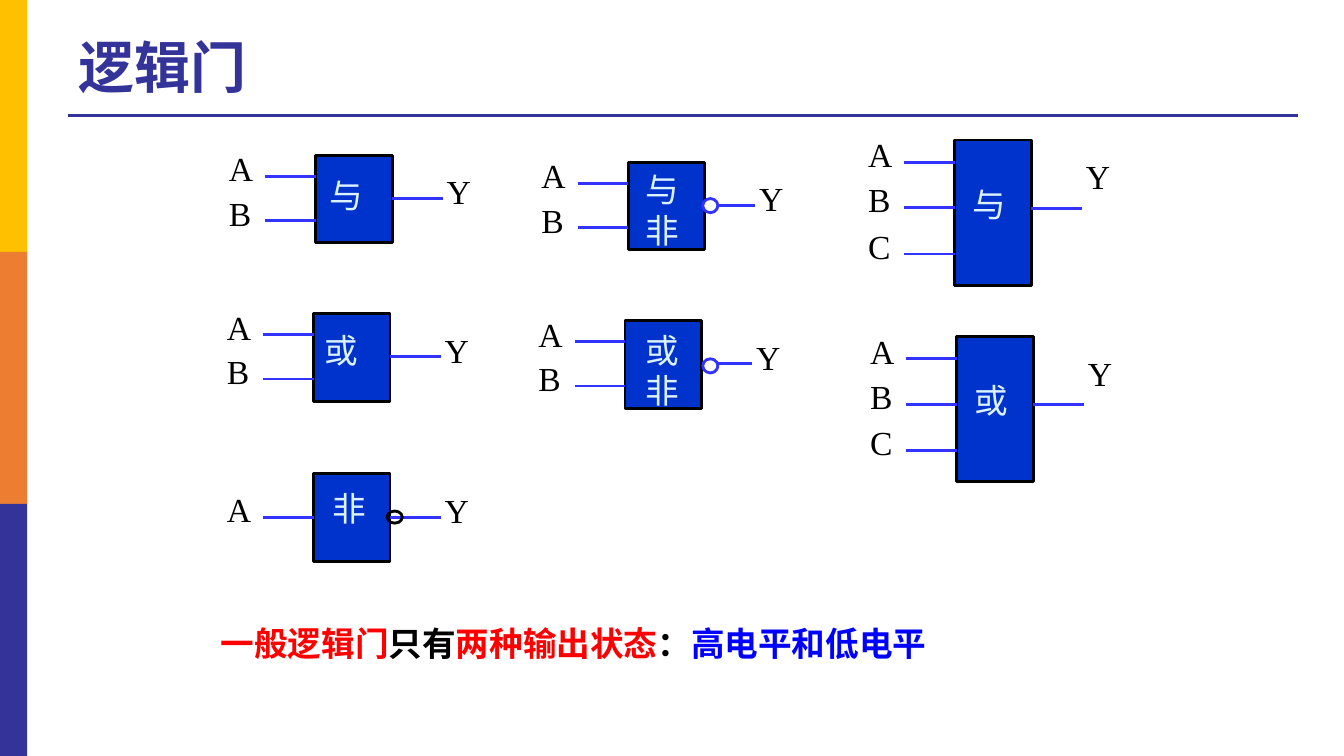
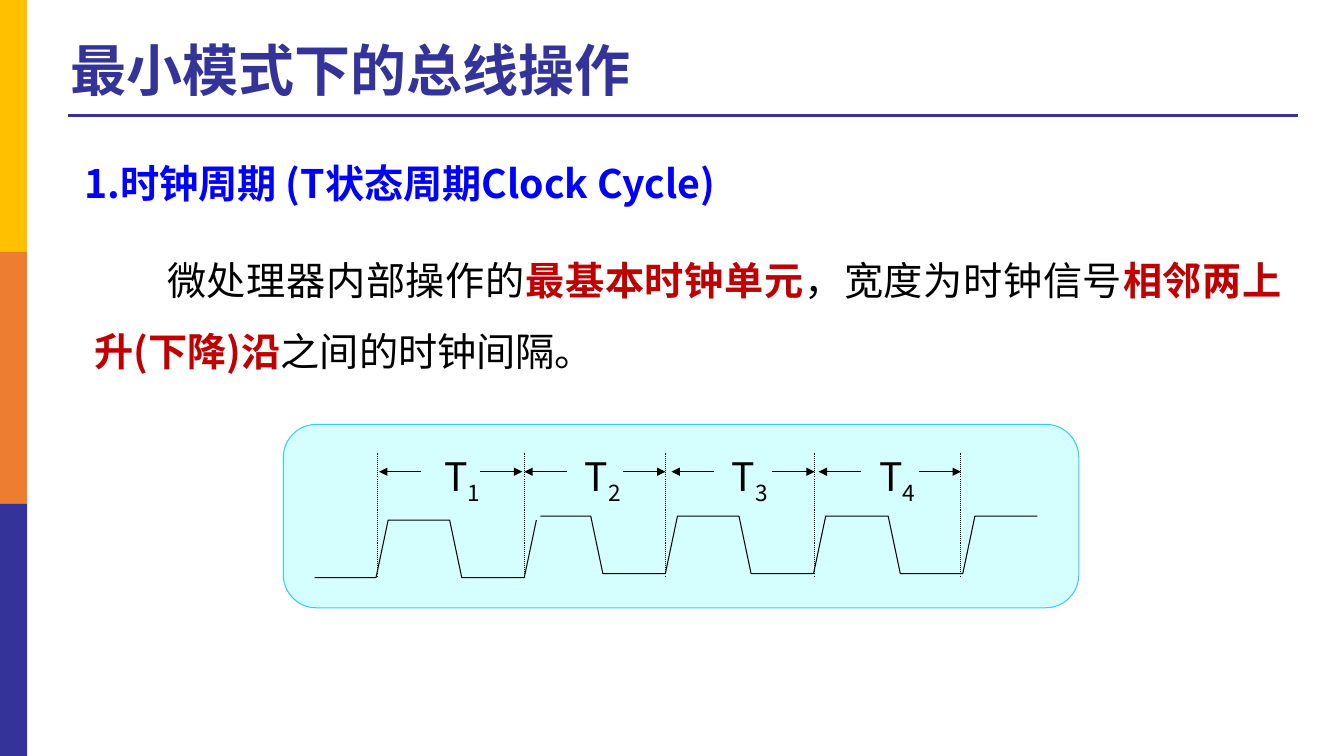
import dataclasses

import pptx
import pptx.dml.color
import pptx.enum.dml
import pptx.enum.shapes
import pptx.enum.text
import pptx.oxml.ns
import pptx.util
from lxml import etree

Inches = pptx.util.Inches
Pt = pptx.util.Pt
qn = pptx.oxml.ns.qn
SHAPE = pptx.enum.shapes.MSO_SHAPE
ALIGN = pptx.enum.text.PP_ALIGN
ANCHOR = pptx.enum.text.MSO_ANCHOR


@dataclasses.dataclass(frozen=True)
class Theme:
    sans: str = "Noto Sans CJK SC"
    serif: str = "Times New Roman"
    navy: str = "333399"
    gold: str = "FFC000"
    orange: str = "ED7D31"
    black: str = "000000"
    white: str = "FFFFFF"
    gate: str = "0033CC"
    gate_text: str = "DDF2FF"
    wire: str = "3333FF"
    blue: str = "0000FF"
    red: str = "FF0000"
    dark_red: str = "C00000"
    panel: str = "D5FFFF"
    panel_edge: str = "33CCFF"
    title_size: int = 40
    body_size: int = 28
    label_size: int = 24
    rule_width: float = 2.25
    gate_width: float = 2
    thin_width: float = 0.75


THEME = Theme()


@dataclasses.dataclass(frozen=True)
class Gate:
    """A logic gate; symbol_at and bubble_at are offsets from its corner."""
    left: float
    top: float
    symbol: str
    symbol_at: tuple
    inputs: str = "AB"
    bubble_at: tuple = None


GATES = [
    Gate(3.13, 1.54, "与", (0.14, 0.20)),
    Gate(3.11, 3.11, "或", (0.11, 0.16)),
    Gate(3.11, 4.70, "非", (0.19, 0.14), "A", (0.73, 0.37)),
    Gate(6.23, 1.61, "与非", (0.17, 0.07), "AB", (0.74, 0.36)),
    Gate(6.20, 3.18, "或非", (0.20, 0.09), "AB", (0.77, 0.38)),
    Gate(9.47, 1.39, "与", (0.18, 0.43), "ABC"),
    Gate(9.49, 3.34, "或", (0.18, 0.43), "ABC"),
]

# Body height and wire heights for each number of inputs
GATE_FORMS = {
    1: (0.87, [0.43]),
    2: (0.87, [0.21, 0.65]),
    3: (1.44, [0.22, 0.67, 1.13]),
}


def rgb(color):
    return pptx.dml.color.RGBColor.from_string(color)


# Basic elements
def style(shape, fill=None, line=None, width=THEME.thin_width):
    shape.shadow.inherit = False
    if fill:
        shape.fill.solid()
        shape.fill.fore_color.rgb = rgb(fill)
    else:
        shape.fill.background()
    if line:
        shape.line.color.rgb = rgb(line)
        shape.line.width = Pt(width)
    else:
        shape.line.fill.background()


def add_box(slide, kind, at, fill=None, line=None, width=THEME.thin_width):
    box = slide.shapes.add_shape(kind, *map(Inches, at))
    style(box, fill, line, width)
    return box


def add_line(slide, start, end, color, width, dotted=False, arrow=False):
    line = slide.shapes.add_connector(
        pptx.enum.shapes.MSO_CONNECTOR.STRAIGHT, *map(Inches, start + end))
    line.line.color.rgb = rgb(color)
    line.line.width = Pt(width)
    if dotted:
        line.line.dash_style = pptx.enum.dml.MSO_LINE.ROUND_DOT
    if arrow:
        outline = line.line._get_or_add_ln()
        etree.SubElement(outline, qn("a:tailEnd"), type="triangle")
    etree.SubElement(line._element.spPr, qn("a:effectLst"))


def add_text(slide, at, margins=True):
    frame = slide.shapes.add_textbox(*map(Inches, at)).text_frame
    frame.word_wrap = True
    if not margins:
        frame.margin_left = frame.margin_right = 0
        frame.margin_top = frame.margin_bottom = 0
    return frame


def add_run(paragraph, text, size, color, bold=False, font=THEME.sans):
    run = paragraph.add_run()
    run.text = text
    run.font.size = Pt(size)
    run.font.bold = bold
    run.font.color.rgb = rgb(color)
    run.font.name = font
    etree.SubElement(run.font._element, qn("a:ea"), typeface=THEME.sans)
    return run


def set_indent(paragraph, left, first):
    properties = paragraph._p.get_or_add_pPr()
    properties.set("marL", str(Inches(left)))
    properties.set("indent", str(Inches(first)))


# Side bands, rule and title shared by every slide
def add_slide(deck, title, left, top):
    slide = deck.slides.add_slide(deck.slide_layouts[6])
    add_line(slide, (0.67, 1.15), (12.87, 1.15), THEME.navy, THEME.rule_width)
    for row, color in enumerate((THEME.gold, THEME.orange, THEME.navy)):
        add_box(slide, SHAPE.RECTANGLE, (0, 2.5 * row, 0.27, 2.5), color)
    frame = add_text(slide, (left, top, 9.91, 0.87))
    frame.vertical_anchor = ANCHOR.MIDDLE
    heading = frame.paragraphs[0]
    heading.line_spacing = 0.9
    add_run(heading, title, THEME.title_size, THEME.navy, bold=True)
    return slide


# Logic gates
def add_label(slide, left, top, lines, color=THEME.black):
    frame = add_text(slide, (left, top, 0.42, 0.46 * len(lines)), margins=False)
    for index, text in enumerate(lines):
        paragraph = frame.add_paragraph() if index else frame.paragraphs[0]
        add_run(paragraph, text, THEME.label_size, color, font=THEME.serif)


def add_gate(slide, gate):
    height, wires = GATE_FORMS[len(gate.inputs)]
    left, top, right = gate.left, gate.top, gate.left + 0.76
    add_box(slide, SHAPE.RECTANGLE, (left, top, 0.76, height),
            THEME.gate, THEME.black, THEME.gate_width)
    for name, offset in zip(gate.inputs, wires):
        y = top + offset
        add_line(slide, (left - 0.5, y), (left, y), THEME.wire, THEME.gate_width)
        add_label(slide, left - 0.86, y - 0.28, name)
    output_y = top + (wires[0] + wires[-1]) / 2
    add_line(slide, (right, output_y), (right + 0.5, output_y),
             THEME.wire, THEME.gate_width)
    add_label(slide, right + 0.54, top + 0.16, "Y")
    dx, dy = gate.symbol_at
    add_label(slide, left + dx, top + dy, gate.symbol, THEME.gate_text)
    if gate.bubble_at:
        dx, dy = gate.bubble_at
        inverter = len(gate.inputs) == 1
        add_box(slide, SHAPE.OVAL,
                (left + dx, top + dy, 0.15, 0.12 if inverter else 0.14),
                None if inverter else THEME.white,
                THEME.black if inverter else THEME.wire, THEME.gate_width)


def build_gates(deck):
    slide = add_slide(deck, "逻辑门", 0.68, 0.26)
    for gate in GATES:
        add_gate(slide, gate)
    summary = add_text(slide, (2.09, 6.13, 9.43, 0.5)).paragraphs[0]
    for text, color in (("一般逻辑门", THEME.red), ("只有", THEME.black),
                        ("两种输出状态", THEME.red), ("：", THEME.black),
                        ("高电平和低电平", THEME.blue)):
        add_run(summary, text, THEME.label_size, color, bold=True)


# Clock diagram
def add_wave(slide, lead, falls, high, end=None):
    """Draw lead points, then one low phase per fall, then a high tail."""
    low = high + 0.57
    points = list(lead)
    for x in falls:
        points += [(x, high), (x + 0.12, low), (x + 0.74, low), (x + 0.86, high)]
    if end:
        points.append((end, high))
    points = [(Inches(x), Inches(y)) for x, y in points]
    outline = slide.shapes.build_freeform(*points[0])
    outline.add_line_segments(points[1:], close=False)
    style(outline.convert_to_shape(), line=THEME.black)


def add_cycle(slide, number, start, label_left, end):
    y, length = 4.68, 0.42
    for tail, tip in ((end - length, end), (start + length, start)):
        add_line(slide, (tail, y), (tip, y), THEME.black, THEME.thin_width,
                 arrow=True)
    label = add_text(slide, (label_left, 4.44, 0.61, 0.57)).paragraphs[0]
    add_run(label, "T", THEME.body_size, THEME.black)
    index = add_run(label, str(number), THEME.body_size, THEME.black)
    index.font._element.set("baseline", "-25000")


def build_clock(deck):
    slide = add_slide(deck, "最小模式下的总线操作", 0.6, 0.29)

    # Heading and definition
    heading = add_text(slide, (0.74, 1.44, 8.19, 0.67)).paragraphs[0]
    set_indent(heading, 0.31, -0.31)
    heading.line_spacing = 1.2
    add_run(heading, "1.时钟周期 (T状态周期Clock Cycle)",
            THEME.body_size, THEME.blue, bold=True)
    definition = add_text(slide, (0.84, 2.26, 11.97, 1.4)).paragraphs[0]
    set_indent(definition, 0, 0.72)
    definition.alignment = ALIGN.JUSTIFY
    definition.line_spacing = 1.5
    for text, key in (("微处理器内部操作的", False), ("最基本时钟单元", True),
                      ("，宽度为时钟信号", False), ("相邻两上升(下降)沿", True),
                      ("之间的时钟间隔。", False)):
        add_run(definition, text, THEME.body_size,
                THEME.dark_red if key else THEME.black, bold=key)

    # Timing panel
    panel = add_box(slide, SHAPE.ROUNDED_RECTANGLE, (2.81, 4.21, 7.89, 1.82),
                    THEME.panel, THEME.panel_edge)
    panel.adjustments[0] = 0.18
    add_wave(slide, [(3.12, 5.73), (3.73, 5.73), (3.85, 5.16)], [4.46], 5.16)
    add_wave(slide, [(5.36, 5.12)], [5.86, 7.33, 8.81], 5.12, end=10.29)
    for x in (3.74, 5.2, 6.6, 8.08, 9.53):
        add_line(slide, (x, 5.72), (x, 4.49), THEME.black, THEME.thin_width,
                 dotted=True)
    cycles = [(3.76, 4.31, 5.18), (5.2, 5.7, 6.6),
              (6.66, 7.16, 8.08), (8.12, 8.62, 9.53)]
    for number, cycle in enumerate(cycles, 1):
        add_cycle(slide, number, *cycle)


def main():
    deck = pptx.Presentation()
    deck.slide_width = Inches(13.33)
    deck.slide_height = Inches(7.5)
    build_gates(deck)
    build_clock(deck)
    deck.save("out.pptx")


if __name__ == "__main__":
    main()
